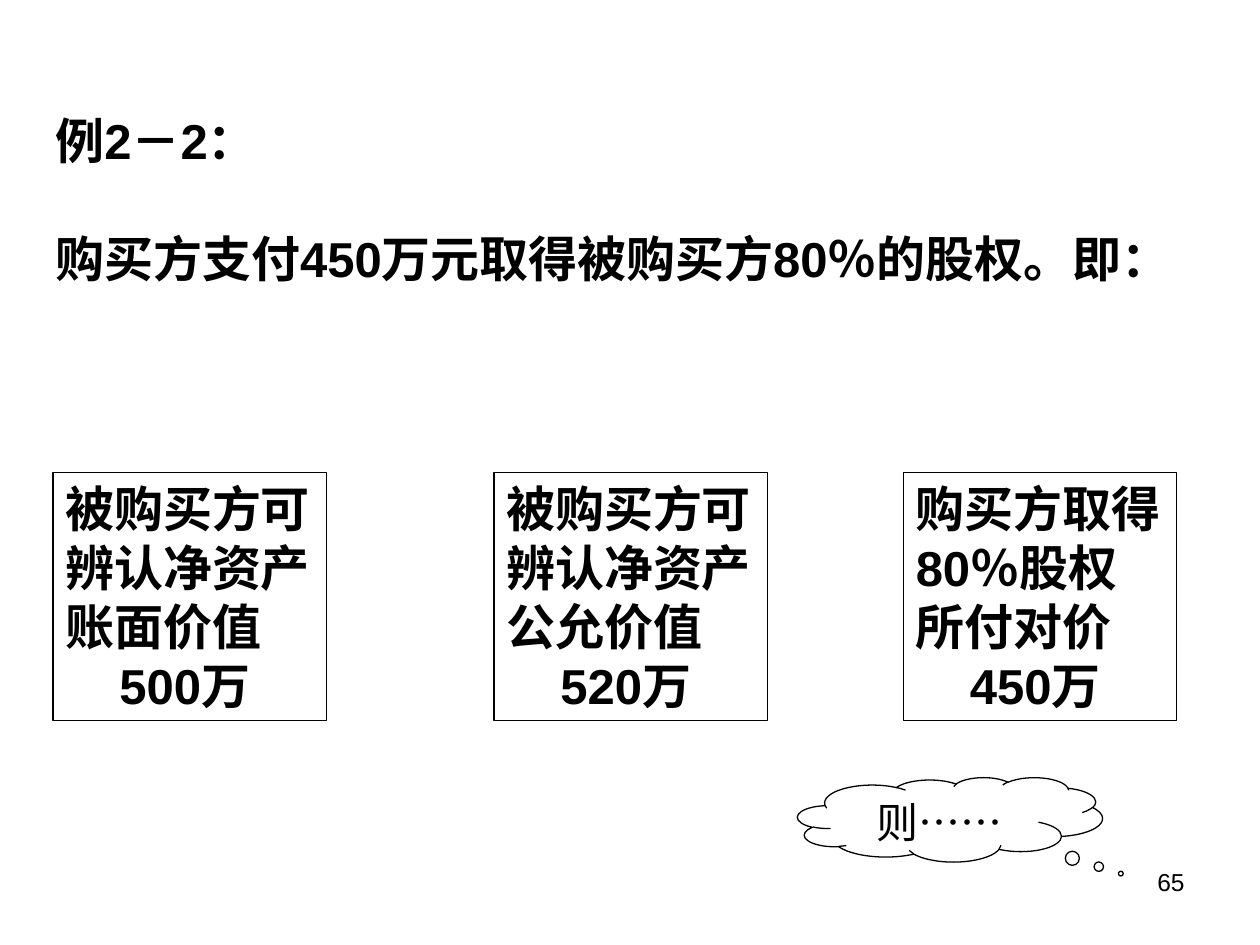
from pptx import Presentation
from pptx.dml.color import RGBColor
from pptx.enum.shapes import MSO_SHAPE
from pptx.enum.text import MSO_ANCHOR, MSO_AUTO_SIZE, PP_ALIGN
from pptx.util import Inches, Pt

BLACK = RGBColor(0, 0, 0)
WHITE = RGBColor(255, 255, 255)
FONT = "Arial"


def inches(box):
    return [Inches(v) for v in box]


def write(tf, lines, size, bold=False, align=PP_ALIGN.LEFT):
    tf.word_wrap = True
    for i, line in enumerate(lines):
        p = tf.paragraphs[0] if i == 0 else tf.add_paragraph()
        p.text = line
        p.alignment = align
        p.font.name = FONT
        p.font.size = Pt(size)
        p.font.bold = bold
        p.font.color.rgb = BLACK


def add_outline(s, kind, box):
    sp = s.shapes.add_shape(kind, *inches(box))
    sp.shadow.inherit = False
    sp.line.color.rgb = BLACK
    sp.line.width = Pt(0.75)
    return sp


def add_heading(s, box, lines):
    sp = s.shapes.title
    sp.left, sp.top, sp.width, sp.height = inches(box)
    tf = sp.text_frame
    write(tf, lines, 28, bold=True)
    tf.vertical_anchor = MSO_ANCHOR.MIDDLE
    tf.auto_size = MSO_AUTO_SIZE.SHAPE_TO_FIT_TEXT
    tf.paragraphs[1].space_before = Pt(33.5)


def add_value_box(s, box, label, value):
    sp = add_outline(s, MSO_SHAPE.RECTANGLE, box)
    sp.fill.background()
    tf = sp.text_frame
    tf.vertical_anchor = MSO_ANCHOR.TOP
    write(tf, [label, value], 28, bold=True)
    tf.auto_size = MSO_AUTO_SIZE.SHAPE_TO_FIT_TEXT
    tf.paragraphs[1]._p.get_or_add_pPr().set("marL", str(Inches(0.43)))


def add_thought(s, box, text):
    sp = add_outline(s, MSO_SHAPE.CLOUD_CALLOUT, box)
    sp.adjustments[0], sp.adjustments[1] = 0.56, 0.64
    sp.fill.solid()
    sp.fill.fore_color.rgb = WHITE
    sp.text_frame.vertical_anchor = MSO_ANCHOR.TOP
    write(sp.text_frame, [text], 24, align=PP_ALIGN.CENTER)


def add_page_number(s, box, number):
    sp = s.shapes.add_textbox(*inches(box))
    write(sp.text_frame, [number], 14, align=PP_ALIGN.RIGHT)


def main():
    prs = Presentation()
    prs.slide_width, prs.slide_height = Inches(10), Inches(7.5)
    s = prs.slides.add_slide(prs.slide_layouts[5])
    add_heading(s, (0.34, 0.83, 9.32, 1.5),
                ["例2－2：", "购买方支付450万元取得被购买方80％的股权。即："])
    values = [
        (0.42, "被购买方可辨认净资产账面价值", "500万"),
        (3.92, "被购买方可辨认净资产公允价值", "520万"),
        (7.17, "购买方取得80％股权所付对价", "450万"),
    ]
    for left, label, value in values:
        add_value_box(s, (left, 3.75, 2.17, 1.97), label, value)
    add_thought(s, (6.33, 6.17, 2.42, 0.67), "则……")
    add_page_number(s, (7.17, 6.83, 2.33, 0.52), "65")
    prs.save("out.pptx")


if __name__ == "__main__":
    main()
